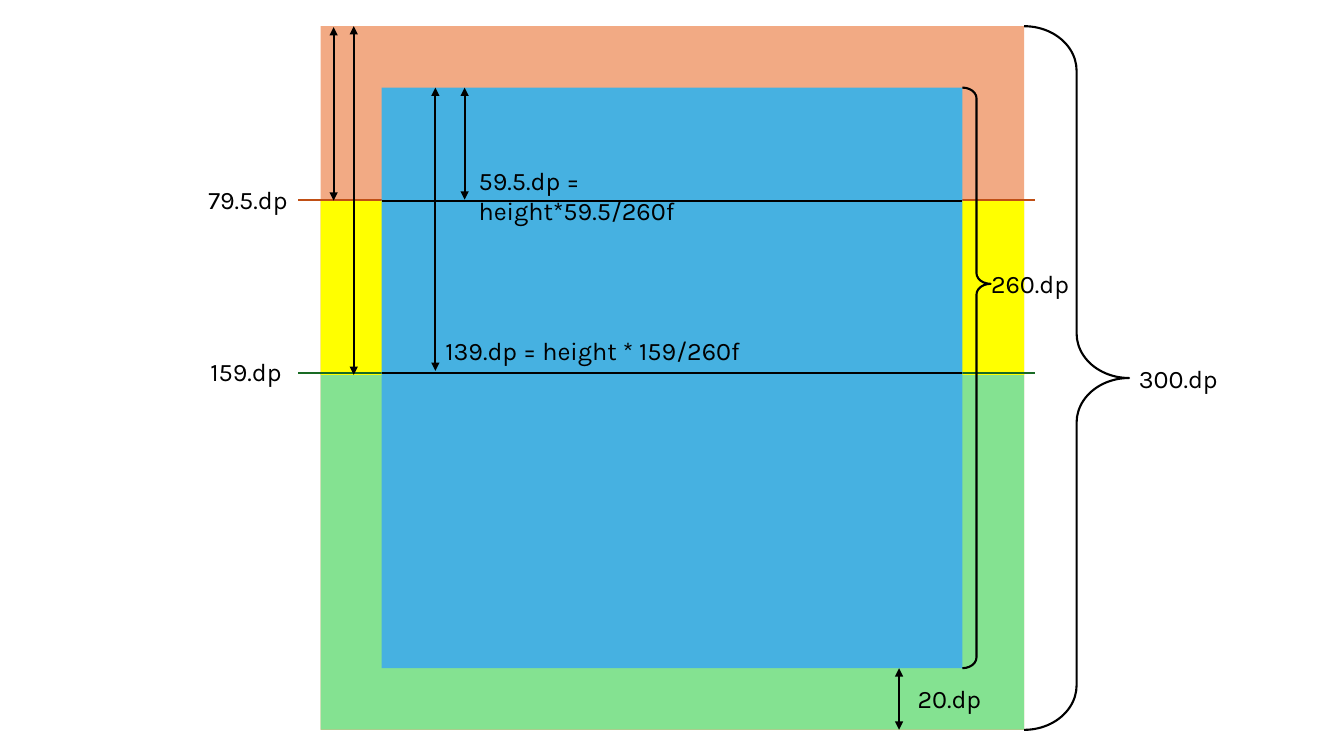
"""Builds a slide that measures the colour bands around a square in dp."""
from lxml import etree
from pptx import Presentation
from pptx.dml.color import RGBColor
from pptx.enum.shapes import MSO_CONNECTOR, MSO_SHAPE
from pptx.enum.text import MSO_AUTO_SIZE, PP_ALIGN
from pptx.oxml.ns import qn
from pptx.util import Pt

RECTANGLE, BRACE = MSO_SHAPE.RECTANGLE, MSO_SHAPE.RIGHT_BRACE
STRAIGHT = MSO_CONNECTOR.STRAIGHT
LEFT, CENTER = PP_ALIGN.LEFT, PP_ALIGN.CENTER
FIT_TEXT = MSO_AUTO_SIZE.SHAPE_TO_FIT_TEXT

ORANGE = RGBColor(0xF2, 0xAA, 0x84)
GREEN = RGBColor(0x84, 0xE2, 0x91)
YELLOW = RGBColor(0xFF, 0xFF, 0x00)
BLUE = RGBColor(0x46, 0xB1, 0xE1)
RUST = RGBColor(0xC0, 0x4F, 0x15)
FOREST = RGBColor(0x19, 0x6B, 0x24)
BLACK = RGBColor(0x00, 0x00, 0x00)

OUTER_LEFT, OUTER_TOP, OUTER_SIZE = 229, 18.7, 502.6
INNER_LEFT, INNER_TOP, INNER_SIZE = 272.7, 62.6, 414.7
OUTER_RIGHT, OUTER_BOTTOM = OUTER_LEFT + OUTER_SIZE, OUTER_TOP + OUTER_SIZE
INNER_RIGHT, INNER_BOTTOM = INNER_LEFT + INNER_SIZE, INNER_TOP + INNER_SIZE
UPPER_LEVEL, LOWER_LEVEL = 142.6, 266.4
LINE_WIDTH = 1.5


def add_line(x1, y1, x2, y2, color=BLACK, arrows=False):
    line = page.shapes.add_connector(STRAIGHT, Pt(x1), Pt(y1), Pt(x2), Pt(y2))
    line.line.color.rgb = color
    line.line.width = Pt(LINE_WIDTH)
    if arrows:
        outline = line.line._get_or_add_ln()
        for end in ("a:headEnd", "a:tailEnd"):
            etree.SubElement(outline, qn(end), type="triangle")
    etree.SubElement(line._element.spPr, qn("a:effectLst"))


def add_label(text, left, top, width, align=CENTER):
    box = page.shapes.add_textbox(Pt(left), Pt(top), Pt(width), Pt(29))
    box.text_frame.word_wrap = True
    box.text_frame.auto_size = FIT_TEXT
    para = box.text_frame.paragraphs[0]
    para.alignment = align
    span = para.add_run()
    span.text = text
    span.font.name = "Karla"
    span.font.size = Pt(18)
    span.font.color.rgb = BLACK


deck = Presentation()
deck.slide_width, deck.slide_height = Pt(960), Pt(540)
page = deck.slides.add_slide(deck.slide_layouts[6])

squares = [
    (OUTER_LEFT, OUTER_TOP, OUTER_SIZE, OUTER_SIZE, ORANGE),
    (OUTER_LEFT, LOWER_LEVEL, OUTER_SIZE, OUTER_BOTTOM - LOWER_LEVEL, GREEN),
    (OUTER_LEFT, 143.3, OUTER_SIZE, 124.5, YELLOW),
    (INNER_LEFT, INNER_TOP, INNER_SIZE, INNER_SIZE, BLUE),
]
for left, top, width, height, color in squares:
    if color == BLUE:
        for level, level_color in ((UPPER_LEVEL, RUST), (LOWER_LEVEL, FOREST)):
            add_line(213, level, 739.4, level, level_color)
    square = page.shapes.add_shape(RECTANGLE, Pt(left), Pt(top), Pt(width), Pt(height))
    square.shadow.inherit = False
    square.fill.solid()
    square.fill.fore_color.rgb = color
    square.line.fill.background()

for level in (143.3, LOWER_LEVEL):
    add_line(INNER_LEFT, level, INNER_RIGHT, level)

arrows = [
    (642.2, INNER_BOTTOM, OUTER_BOTTOM),
    (331.9, INNER_TOP, UPPER_LEVEL),
    (238.3, 19.4, 143.3),
    (252.7, OUTER_TOP, 267.8),
    (311, INNER_TOP, 265),
]
for x, start, end in arrows:
    add_line(x, start, x, end, arrows=True)

braces = [
    (OUTER_RIGHT, OUTER_TOP, 74.9, OUTER_SIZE, 0.425, 0.5),
    (INNER_RIGHT, INNER_TOP, 20.2, INNER_SIZE, 0.38, 0.338),
]
for left, top, width, height, curve, tip in braces:
    brace = page.shapes.add_shape(BRACE, Pt(left), Pt(top), Pt(width), Pt(height))
    brace.shadow.inherit = False
    brace.adjustments[0] = curve
    brace.adjustments[1] = tip
    brace.fill.background()
    brace.line.color.rgb = BLACK
    brace.line.width = Pt(LINE_WIDTH)

add_label("20.dp", 631.4, 484.6, 93.6)
add_label("300.dp", 806.4, 255.6, 75, align=LEFT)
add_label("260.dp", 689, 187.9, 93.6)
add_label("59.5.dp = height*59.5/260f", 334.8, 114.5, 227.5, align=LEFT)
add_label("79.5.dp", 130.3, 128.2, 93.6)
add_label("159.dp", 128.9, 250.6, 93.6)
add_label("139.dp = height * 159/260f", 311, 236.2, 227.5, align=LEFT)

deck.save("out.pptx")
